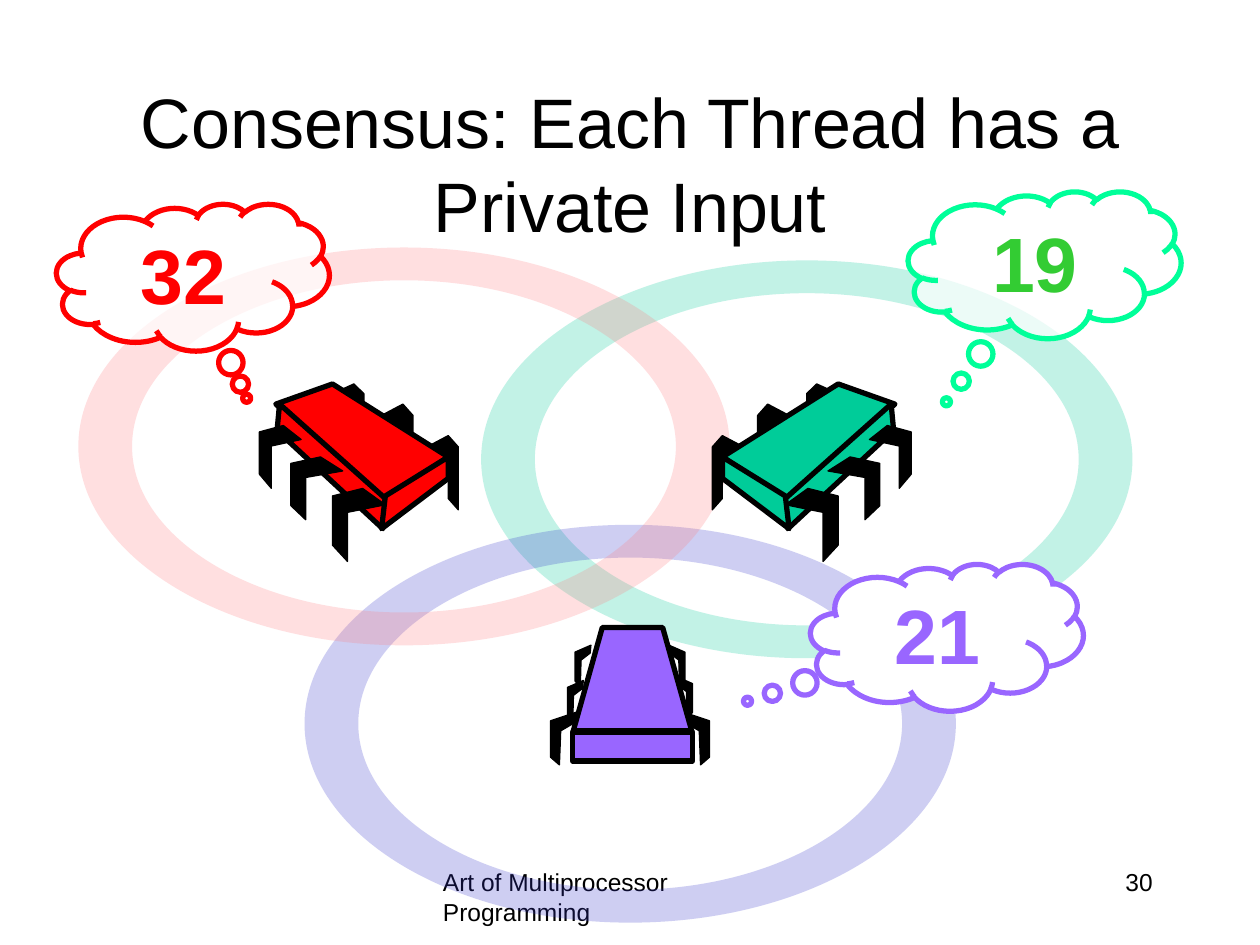
from collections import namedtuple

from pptx import Presentation
from pptx.dml.color import RGBColor
from pptx.enum.shapes import MSO_SHAPE as Preset
from pptx.enum.text import MSO_ANCHOR as Anchor, MSO_AUTO_SIZE as AutoSize, PP_ALIGN as Align
from pptx.oxml.ns import qn
from pptx.util import Cm, Pt

Box = namedtuple("Box", "left top width height")

BLACK, WHITE = "000000", "FFFFFF"
RED, GREEN, PURPLE = "FF0000", "00CC99", "9966FF"

# Outlines of the walkers, in the units of each walker's own grid
SIDE_GRID_WIDTH = 158
FAR_LEG = [(0, 9), (17, 0), (25, 9), (25, 59), (17, 50), (17, 17), (0, 25)]
NEAR_LEG = [(24, 0), (42, 13), (12, 19), (12, 58), (0, 45), (0, 6)]
FAR_LEGS = [(133, 41, 1, 1), (97, 16, 1, 1), (58, 0, 1, 0.85)]  # x, y, x scale, y scale
NEAR_LEGS = [(58, 83, 1, 1), (25, 58, 0.98, 0.86), (0, 33, 0.79, 0.86)]
FACES = [
    [(58, 0), (150, 58), (98, 92), (13, 16)],
    [(16, 16), (100, 91), (98, 115), (14, 37)],
    [(150, 58), (150, 75), (97, 115), (100, 89)],
]
FRONT_GRID_WIDTH = 126
FRONT_LEG = [(0, 0), (21, 7), (21, 36), (14, 42), (13, 15), (1, 8)]
FRONT_TOP = [(18, 82), (41, 0), (89, 0), (112, 82)]
FRONT_PANEL = Box(17.5, 83, 95, 23)

# Bezier points of a unit circle, from the left point round to it again
K = 0.55
CIRCLE = [(-1, 0), (-1, -K), (-K, -1), (0, -1), (K, -1), (1, -K), (1, 0),
          (1, K), (K, 1), (0, 1), (-K, 1), (-1, K), (-1, 0)]


def paint(shape, fill, line=None, line_width=0.75, opacity=100):
    shape.shadow.inherit = False
    shape.fill.solid()
    shape.fill.fore_color.rgb = RGBColor.from_string(fill)
    if opacity < 100:
        color = next(shape.element.spPr.iter(qn("a:srgbClr")))
        color.append(color.makeelement(qn("a:alpha"), {"val": str(opacity * 1000)}))
    if line:
        shape.line.color.rgb = RGBColor.from_string(line)
        shape.line.width = Pt(line_width)
    else:
        shape.line.fill.background()


def write(shape, text, size, color=BLACK, align=Align.LEFT, anchor=Anchor.TOP, bold=False):
    frame = shape.text_frame
    frame.text = text
    formats = {"word_wrap": True, "auto_size": AutoSize.NONE, "vertical_anchor": anchor}
    for name, value in formats.items():
        setattr(frame, name, value)
    para = frame.paragraphs[0]
    para.alignment = align
    span = para.runs[0]
    for name, value in {"name": "Arial", "size": Pt(size), "bold": bold}.items():
        setattr(span.font, name, value)
    span.font.color.rgb = RGBColor.from_string(color)


def add_outline(page, box, contours):
    """Closed contours, given in EMU relative to the box."""
    (start, *rest), *others = contours
    builder = page.shapes.build_freeform(*start)
    builder.add_line_segments(rest, close=True)
    for first, *more in others:
        builder.move_to(*first)
        builder.add_line_segments(more, close=True)
    return builder.convert_to_shape(box.left, box.top)


def curve(shape):
    """Turn every three line segments into one Bezier curve."""
    lines = list(shape.element.spPr.iter(qn("a:lnTo")))
    for group in zip(lines[::3], lines[1::3], lines[2::3]):
        bezier = group[0].makeelement(qn("a:cubicBezTo"), {})
        group[0].addprevious(bezier)
        for line in group:
            bezier.append(line[0])
            line.getparent().remove(line)


def add_ring(page, box, color):
    def ellipse(points, share):
        return [(box.width / 2 * (1 + share * x), box.height / 2 * (1 + share * y))
                for x, y in points]

    ring = add_outline(page, box, [ellipse(CIRCLE, 1), ellipse(CIRCLE[::-1], 0.835)])
    curve(ring)
    paint(ring, color, opacity=24)
    return ring


def place(points, x, y, x_scale=1, y_scale=1):
    return [(x + px * x_scale, y + py * y_scale) for px, py in points]


def add_part(page, box, points, grid_width, fill, line_width=0.75, mirrored=False):
    unit = box.width / grid_width
    contour = [((grid_width - x if mirrored else x) * unit, y * unit) for x, y in points]
    paint(add_outline(page, box, [contour]), fill, BLACK, line_width)


def add_side_walker(page, box, color, mirrored=False):
    parts = [(place(FAR_LEG, *leg), BLACK, 0.75) for leg in FAR_LEGS]
    parts += [(face, color, 3) for face in FACES]
    parts += [(place(NEAR_LEG, *leg), BLACK, 0.75) for leg in NEAR_LEGS]
    for points, fill, line_width in parts:
        add_part(page, box, points, SIDE_GRID_WIDTH, fill, line_width, mirrored)


def add_front_walker(page, box, color):
    def leg_pair(x, y, x_scale=1, y_scale=1, left_drop=0):
        for mirrored in (False, True):
            points = place(FRONT_LEG, x, y + left_drop * mirrored, x_scale, y_scale)
            add_part(page, box, points, FRONT_GRID_WIDTH, BLACK, mirrored=mirrored)

    leg_pair(105, 67)
    leg_pair(100, 39, 0.6, 0.79, left_drop=3)
    add_part(page, box, FRONT_TOP, FRONT_GRID_WIDTH, color, 3)
    left, top, width, height = (int(n * box.width / FRONT_GRID_WIDTH) for n in FRONT_PANEL)
    panel = page.shapes.add_shape(Preset.RECTANGLE, box.left + left, box.top + top, width, height)
    paint(panel, color, BLACK, 3)
    leg_pair(94, 14, 0.6, 0.79)


def add_thought(page, box, number, color, line, tail, opacity=100):
    cloud = page.shapes.add_shape(Preset.CLOUD_CALLOUT, *box)
    for index, value in enumerate(tail):
        cloud.adjustments[index] = value
    paint(cloud, WHITE, line, 3, opacity)
    write(cloud, number, 44, color, Align.CENTER, Anchor.MIDDLE, bold=True)


def add_title(page, box, text):
    title = page.shapes.title
    for name, value in box._asdict().items():
        setattr(title, name, value)
    write(title, text, 40, align=Align.CENTER, anchor=Anchor.MIDDLE)
    return title


def add_footer(page, box, text, number):
    note = page.shapes.add_textbox(box.left, box.top, Cm(8.05), box.height)
    write(note, text, 14)
    number_width = Cm(5.28)
    number_left = box.left + box.width - number_width
    corner = page.shapes.add_textbox(number_left, box.top, number_width, box.height)
    write(corner, number, 14, align=Align.RIGHT)


def cm_box(*lengths):
    return Box(*map(Cm, lengths))


def main():
    deck = Presentation()
    deck.slide_width, deck.slide_height = Cm(25.4), Cm(19.05)
    page = deck.slides.add_slide(deck.slide_layouts[5])

    add_footer(page, cm_box(8.68, 17.36, 14.81, 1.27), "Art of Multiprocessor Programming", "30")
    places = [(9.7, 5.25, GREEN), (6.14, 10.58, "3333CC"), (1.58, 4.99, "FF7C80")]
    rings = [add_ring(page, cm_box(left, top, 13.13, 8.02), color) for left, top, color in places]
    title = add_title(page, cm_box(1.9, 1.69, 21.6, 3.18),
                      "Consensus: Each Thread has a Private Input")
    rings[1].element.addnext(title.element)

    add_front_walker(page, cm_box(11.1, 12.65, 3.2, 2.77), PURPLE)
    thoughts = [
        (1.14, 4.11, "32", RED, RED, (0.197, 0.824), 70),
        (18.31, 3.86, "19", "33CC33", "00FF99", (-0.36, 0.933), 70),
        (16.34, 11.37, "21", PURPLE, PURPLE, (-0.731, 0.435), 100),
    ]
    *upper, lower = [(cm_box(left, top, 5.5, 2.96), look) for left, top, *look in thoughts]
    for box, look in upper:
        add_thought(page, box, *look)
    add_side_walker(page, cm_box(5.23, 7.74, 4.01, 3.58), RED)
    add_side_walker(page, cm_box(14.36, 7.74, 4.01, 3.58), GREEN, mirrored=True)
    add_thought(page, lower[0], *lower[1])

    deck.save("out.pptx")


if __name__ == "__main__":
    main()
